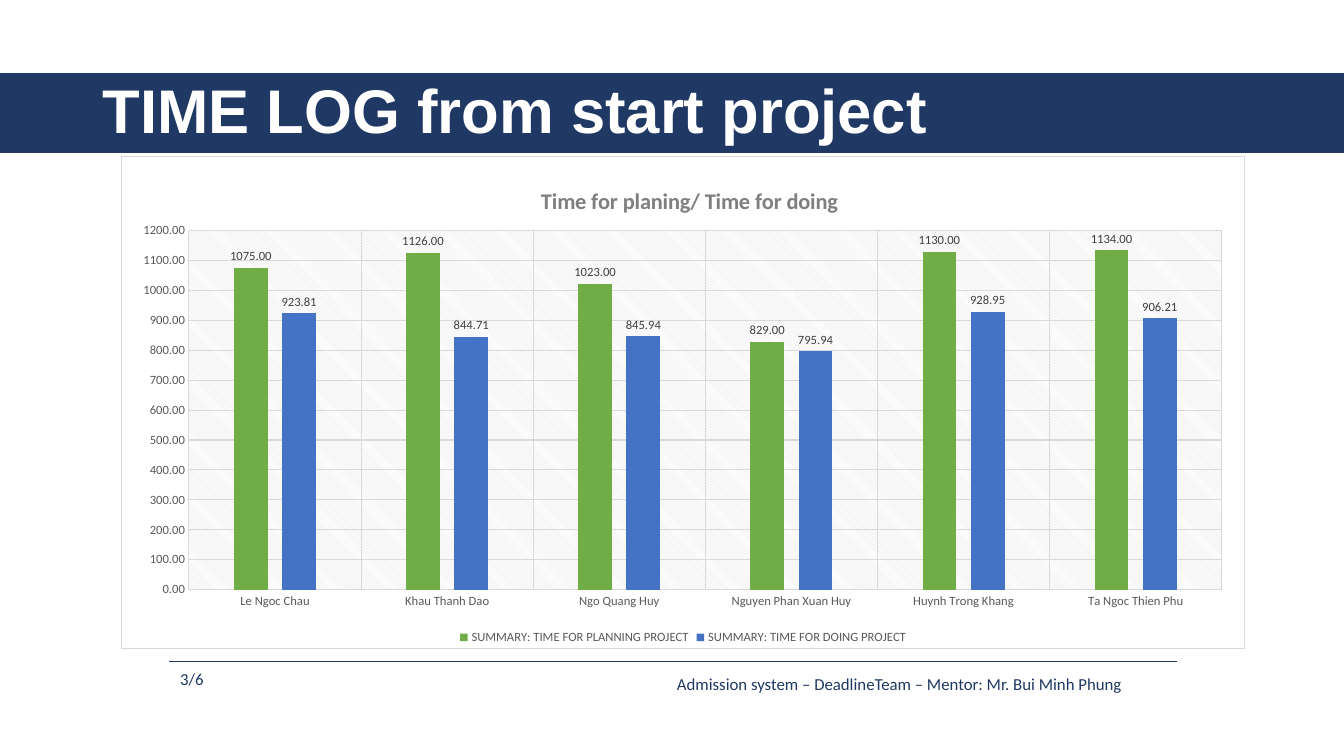
from dataclasses import dataclass

from lxml.etree import SubElement
from pptx import Presentation
from pptx.chart.data import CategoryChartData
from pptx.dml.color import RGBColor
from pptx.enum.chart import XL_CHART_TYPE, XL_LABEL_POSITION, XL_LEGEND_POSITION, XL_TICK_MARK
from pptx.enum.shapes import MSO_CONNECTOR, MSO_SHAPE
from pptx.enum.text import MSO_ANCHOR
from pptx.oxml import parse_xml
from pptx.oxml.ns import nsdecls, qn
from pptx.util import Cm, Pt

COLORS = {
    "navy": "203864", "white": "FFFFFF", "green": "70AD47", "blue": "4472C4",
    "grid": "D9D9D9", "axis": "595959", "label": "404040", "title": "7F7F7F",
}


@dataclass
class Label:
    text: str
    left: float
    top: float
    width: float
    height: float
    size: int = 12
    font: str = "Calibri"
    color: str = "navy"
    bold: bool = False
    spacing: float = 1.0


@dataclass
class TimeSeries:
    name: str
    color: str
    hours: tuple[float, ...]


HEADING = Label("TIME LOG from start project", 2.34, 1.02, 29.21, 3.68,
                44, "Arial", "white", True, 0.9)
FOOTERS = [
    Label("Admission system – DeadlineTeam – Mentor: Mr. Bui Minh Phung",
          16.81, 16.84, 12.9, 0.77),
    Label("3/6", 4.29, 16.71, 1.3, 0.77),
]
MEMBERS = ["Le Ngoc Chau", "Khau Thanh Dao", "Ngo Quang Huy",
           "Nguyen Phan Xuan Huy", "Huynh Trong Khang", "Ta Ngoc Thien Phu"]
SERIES = [
    TimeSeries("SUMMARY: TIME FOR PLANNING PROJECT", "green",
               (1075, 1126, 1023, 829, 1130, 1134)),
    TimeSeries("SUMMARY: TIME FOR DOING PROJECT", "blue",
               (923.81, 844.71, 845.94, 795.94, 928.95, 906.21)),
]


def rgb(name: str) -> RGBColor:
    return RGBColor.from_string(COLORS[name])


def style_font(font, size: int, color: str, bold: bool = False, name: str = "Calibri") -> None:
    font.size, font.bold, font.name = Pt(size), bold, name
    font.color.rgb = rgb(color)


def style_line(line, color: str, width: float) -> None:
    line.color.rgb = rgb(color)
    line.width = Pt(width)


def add_label(s, item: Label) -> None:
    box = s.shapes.add_textbox(Cm(item.left), Cm(item.top), Cm(item.width), Cm(item.height))
    tf = box.text_frame
    tf.word_wrap = True
    tf.vertical_anchor = MSO_ANCHOR.MIDDLE
    p = tf.paragraphs[0]
    p.line_spacing = item.spacing
    r = p.add_run()
    r.text = item.text
    style_font(r.font, item.size, item.color, item.bold, item.font)


def make_layout(inner: bool = False, **fractions: float):
    """Manual chart layout, in fractions of the chart area."""
    layout = parse_xml(f"<c:layout {nsdecls('c')}><c:manualLayout/></c:layout>")
    settings = {"layoutTarget": "inner"} if inner else {}
    settings |= {"xMode": "edge", "yMode": "edge", **fractions}
    for tag, value in settings.items():
        SubElement(layout[0], qn(f"c:{tag}")).set("val", str(value))
    return layout


def drop_layout(parent) -> None:
    for old in parent.findall(qn("c:layout")):
        parent.remove(old)


def style_axis(axis) -> None:
    axis.major_tick_mark = axis.minor_tick_mark = XL_TICK_MARK.NONE
    axis.has_major_gridlines = True
    style_line(axis.major_gridlines.format.line, "grid", 0.75)
    style_font(axis.tick_labels.font, 9, "axis")


def add_time_chart(s) -> None:
    data = CategoryChartData(number_format="0.00")
    data.categories = MEMBERS
    for series in SERIES:
        data.add_series(series.name, series.hours)
    chart = s.shapes.add_chart(XL_CHART_TYPE.COLUMN_CLUSTERED, Cm(3.05), Cm(3.94),
                               Cm(28.32), Cm(12.42), data).chart
    chart.font.size, chart.font.name = Pt(10), "Calibri"

    # Title and legend
    chart.has_title = True
    r = chart.chart_title.text_frame.paragraphs[0].add_run()
    r.text = "Time for planing/ Time for doing"
    style_font(r.font, 16, "title", True)
    title = chart.element.chart.find(qn("c:title"))
    drop_layout(title)
    title.find(qn("c:tx")).addnext(make_layout(x=0.37, y=0.05))
    chart.has_legend = True
    chart.legend.position = XL_LEGEND_POSITION.BOTTOM
    chart.legend.include_in_layout = False
    style_font(chart.legend.font, 9, "axis")

    # Axes
    style_axis(chart.category_axis)
    style_axis(chart.value_axis)
    style_line(chart.category_axis.format.line, "grid", 0.75)
    values = chart.value_axis
    values.format.line.fill.background()
    values.minimum_scale, values.maximum_scale, values.major_unit = 0, 1200, 100
    values.tick_labels.number_format = "0.00"
    values.tick_labels.number_format_is_linked = False

    # Columns and their values
    plot = chart.plots[0]
    plot.gap_width, plot.overlap, plot.vary_by_categories = 267, -43, False
    for columns, series in zip(plot.series, SERIES):
        columns.format.fill.solid()
        columns.format.fill.fore_color.rgb = rgb(series.color)
        labels = columns.data_labels
        labels.show_value = True
        labels.position = XL_LABEL_POSITION.OUTSIDE_END
        labels.number_format, labels.number_format_is_linked = "0.00", False
        style_font(labels.font, 9, "label")

    # Hatched plot area and framed chart area
    area = chart.element.chart.plotArea
    drop_layout(area)
    area.insert(0, make_layout(inner=True, x=0.06, y=0.15, w=0.92, h=0.73))
    area.append(parse_xml(
        f'<c:spPr {nsdecls("c", "a")}><a:pattFill prst="ltDnDiag">'
        f'<a:fgClr><a:srgbClr val="{COLORS["grid"]}"/></a:fgClr>'
        f'<a:bgClr><a:srgbClr val="{COLORS["white"]}"/></a:bgClr>'
        '</a:pattFill><a:ln><a:noFill/></a:ln></c:spPr>'))
    chart.element.chart.addnext(parse_xml(
        f'<c:spPr {nsdecls("c", "a")}>'
        f'<a:solidFill><a:srgbClr val="{COLORS["white"]}"/></a:solidFill>'
        f'<a:ln w="{Pt(0.75)}"><a:solidFill><a:srgbClr val="{COLORS["grid"]}"/>'
        '</a:solidFill></a:ln></c:spPr>'))


prs = Presentation()
prs.slide_width, prs.slide_height = Cm(33.87), Cm(19.05)
s = prs.slides.add_slide(prs.slide_layouts[6])

# Heading band
sp = s.shapes.add_shape(MSO_SHAPE.RECTANGLE, 0, Cm(1.86), prs.slide_width, Cm(1.99))
sp.shadow.inherit = False
sp.fill.solid()
sp.fill.fore_color.rgb = rgb("navy")
style_line(sp.line, "navy", 1)
add_label(s, HEADING)

# Footer
rule = s.shapes.add_connector(MSO_CONNECTOR.STRAIGHT, Cm(4.27), Cm(16.66), Cm(29.67), Cm(16.66))
style_line(rule.line, "navy", 0.5)
SubElement(rule.element.spPr, qn("a:effectLst"))
for footer in FOOTERS:
    add_label(s, footer)

add_time_chart(s)
prs.save("out.pptx")
